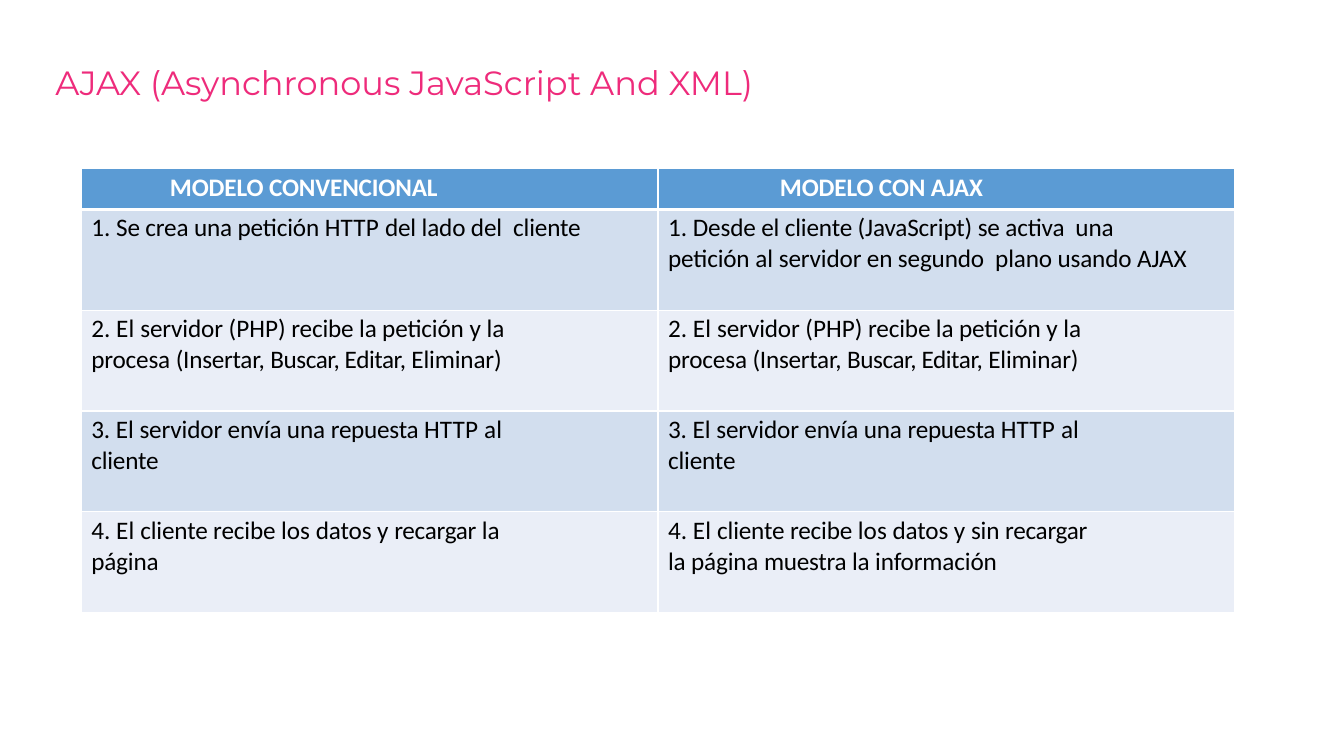
from lxml import etree
from pptx import Presentation
from pptx.dml.color import RGBColor
from pptx.enum import text
from pptx.oxml import ns
from pptx.util import Pt

PINK = RGBColor(0xEE, 0x2B, 0x7B)
WHITE = RGBColor(0xFF, 0xFF, 0xFF)
BLACK = RGBColor(0x00, 0x00, 0x00)
HEADER_BLUE = RGBColor(0x5B, 0x9B, 0xD4)
BANDS = (RGBColor(0xD2, 0xDE, 0xEE), RGBColor(0xEA, 0xEE, 0xF7))

HEADERS = (("MODELO CONVENCIONAL", 63.4), ("MODELO CON AJAX", 87.1))
HEADER_HEIGHT, STEP_HEIGHT, COLUMN_WIDTH = 29.2, 72, 412
INDENT = 7.2

# Each step is a list of paragraphs; each run is (text, letter spacing in points).
SERVER_RECEIVES = [
    [("2. ", 0), ("El ", 0.1), ("servidor ", -0.1), ("(PHP) ", 0),
     ("recibe la petición ", -0.1), ("y la", 0)],
    [("procesa ", -0.1), ("(Insertar, ", -0.2), ("Buscar, Editar, ", -0.3),
     ("Eliminar)", -0.1)],
]
SERVER_REPLIES = [
    [("3. ", -0.1), ("El ", 0), ("servidor envía una ", -0.1),
     ("repuesta ", -0.2), ("HTTP ", 0.1), ("al", 0)],
    [("cliente", -0.1)],
]
CLIENT_RECEIVES = [("4. ", 0), ("El ", 0.1), ("cliente recibe ", -0.1),
                   ("los ", 0), ("datos ", -0.1), ("y ", 0)]
STEPS = [
    ([[("1. ", 0), ("Se crea una petición ", -0.1), ("HTTP ", 0.1),
       ("del lado del  cliente", -0.1)]],
     [[("1. ", 0), ("Desde el cliente (JavaScript) se activa  una petición ", -0.1),
       ("al ", 0), ("servidor en segundo  plano usando AJAX", -0.1)]]),
    (SERVER_RECEIVES, SERVER_RECEIVES),
    (SERVER_REPLIES, SERVER_REPLIES),
    ([CLIENT_RECEIVES + [("recargar ", -0.2), ("la", -0.1)],
      [("página", -0.1)]],
     [CLIENT_RECEIVES + [("sin ", -0.1), ("recargar", -0.2)],
      [("la página ", -0.1), ("muestra ", -0.2), ("la información", -0.1)]]),
]


def add_run(p, words, size, font, color, bold=False, spacing=0):
    r = p.add_run()
    r.text = words
    r.font.size = Pt(size)
    r.font.name = font
    r.font.bold = bold
    r.font.color.rgb = color
    r.font._element.set("spc", str(round(spacing * 100)))


def add_title(slide, words):
    sp = slide.shapes.add_textbox(Pt(32.4), Pt(43.9), Pt(915.8), Pt(104.4))
    tf = sp.text_frame
    tf.word_wrap = True
    tf.vertical_anchor = text.MSO_ANCHOR.TOP
    p = tf.paragraphs[0]
    p.line_spacing = 0.9
    add_run(p, words, 24, "Montserrat", PINK)


def set_borders(cell, top, bottom):
    tcPr = cell._tc.get_or_add_tcPr()
    for side, width in (("L", 1), ("R", 1), ("T", top), ("B", bottom)):
        ln = etree.SubElement(tcPr, ns.qn("a:ln" + side), w=str(Pt(width)))
        fill = etree.SubElement(ln, ns.qn("a:solidFill"))
        etree.SubElement(fill, ns.qn("a:srgbClr"), val=str(WHITE))


def fill_cell(cell, paragraphs, indent, fill, color, bold=False,
              top=1, bottom=1, right=0):
    set_borders(cell, top, bottom)
    cell.fill.solid()
    cell.fill.fore_color.rgb = fill
    cell.margin_left = cell.margin_bottom = 0
    cell.margin_right = Pt(right)
    cell.margin_top = Pt(2.5)
    tf = cell.text_frame
    for i, runs in enumerate(paragraphs):
        p = tf.add_paragraph() if i else tf.paragraphs[0]
        p._p.get_or_add_pPr().set("marL", str(Pt(indent)))
        p.space_before = Pt(0 if i else 2.5)
        for words, spacing in runs:
            add_run(p, words, 18, "Calibri", color, bold, spacing)


def add_comparison(slide):
    height = HEADER_HEIGHT + STEP_HEIGHT * len(STEPS)
    frame = slide.shapes.add_table(len(STEPS) + 1, len(HEADERS), Pt(58), Pt(120.4),
                                   Pt(COLUMN_WIDTH * len(HEADERS)), Pt(height))
    table = frame.table
    table.first_row = table.horz_banding = False
    for column in table.columns:
        column.width = Pt(COLUMN_WIDTH)
    for i, row in enumerate(table.rows):
        row.height = Pt(STEP_HEIGHT if i else HEADER_HEIGHT)
    for col, (label, indent) in enumerate(HEADERS):
        fill_cell(table.cell(0, col), [[(label, -0.1)]], indent,
                  HEADER_BLUE, WHITE, bold=True, bottom=3)
    for i, step in enumerate(STEPS):
        for col, paragraphs in enumerate(step):
            fill_cell(table.cell(i + 1, col), paragraphs, INDENT,
                      BANDS[i % 2], BLACK, top=1 if i else 3,
                      right=26.6 if col else 0)


def main():
    prs = Presentation()
    prs.slide_width, prs.slide_height = Pt(960), Pt(540)
    slide = prs.slides.add_slide(prs.slide_layouts[6])
    add_title(slide, "AJAX (Asynchronous JavaScript And XML)")
    add_comparison(slide)
    prs.save("out.pptx")


if __name__ == "__main__":
    main()
